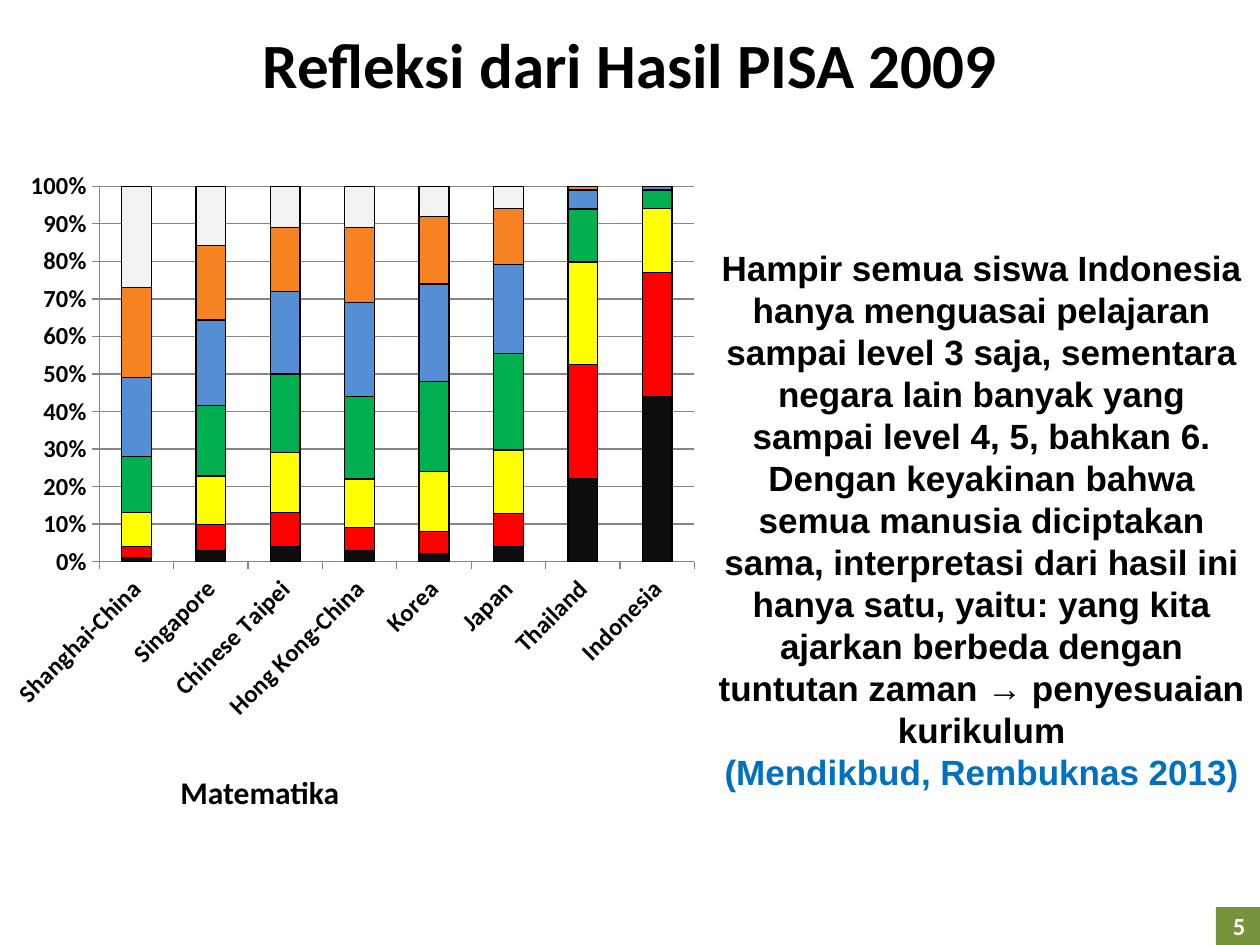
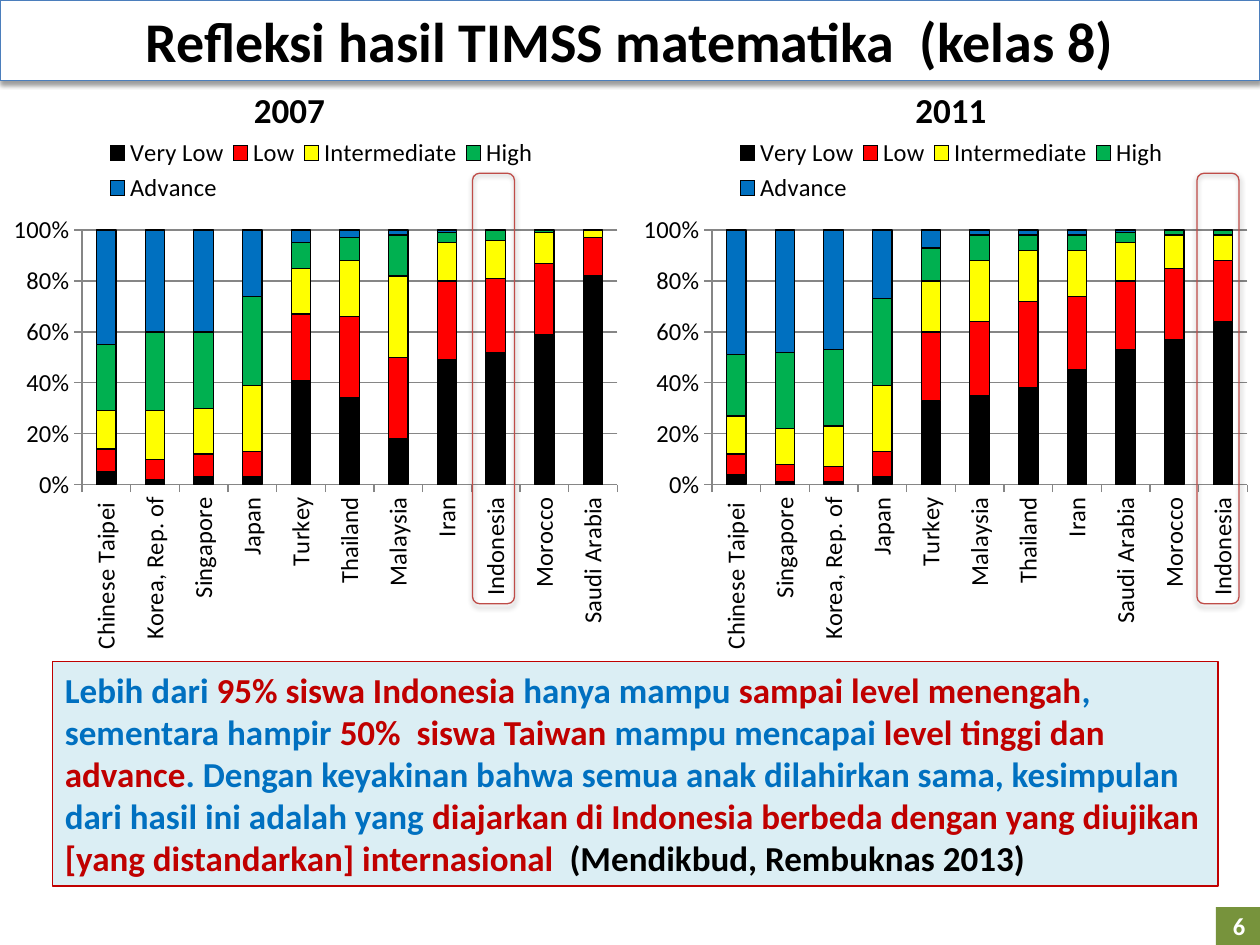
from lxml.etree import SubElement
from pptx import Presentation
from pptx.chart.data import CategoryChartData as ChartData
from pptx.dml.color import RGBColor
from pptx.enum.chart import XL_CHART_TYPE as ChartType, XL_LEGEND_POSITION as LegendPosition
from pptx.enum.chart import XL_TICK_MARK as TickMark
from pptx.enum.shapes import MSO_SHAPE as Shape
from pptx.enum.text import MSO_ANCHOR as Anchor, PP_ALIGN as Align
from pptx.oxml.ns import qn
from pptx.util import Inches, Pt

rgb = RGBColor.from_string
CELL = Inches(1) / 12
COLUMNS, ROWS = 120, 90
BLACK, WHITE, GRID_GREY = "000000", "FFFFFF", "868686"
RED, YELLOW, GREEN, BLUE = "FF0000", "FFFF00", "00B050", "0070C0"
DARK_RED, OUTLINE_RED, OUTLINE_BLUE = "C00000", "BF4C48", "4B7EBC"
FOOTER_GREEN, PALE_BLUE = "77933C", "DBEEF4"


def add_box(slide, cells, paragraphs=(), size=20, font="Calibri", align=Align.CENTER,
            fill=None, line=None, kind=Shape.RECTANGLE, shadow=False, margin=None, wrap=True):
    place = [round(value * CELL) for value in cells]
    if fill or line:
        shape = slide.shapes.add_shape(kind, *place)
        shape.shadow.inherit = False
        if fill:
            shape.fill.solid()
            shape.fill.fore_color.rgb = rgb(fill)
        else:
            shape.fill.background()
        if line:
            shape.line.color.rgb = rgb(line)
            shape.line.width = Pt(0.75)
        else:
            shape.line.fill.background()
    else:
        shape = slide.shapes.add_textbox(*place)
    if shadow:
        effects = shape._element.spPr.find(qn("a:effectLst"))
        outer = SubElement(effects, qn("a:outerShdw"), blurRad=str(Pt(3.1)), dist=str(Pt(1.6)),
                           dir="5400000", rotWithShape="0")
        color = SubElement(outer, qn("a:srgbClr"), val=BLACK)
        SubElement(color, qn("a:alpha"), val="38000")
    frame = shape.text_frame
    frame.word_wrap = wrap
    frame.vertical_anchor = Anchor.MIDDLE
    if margin is not None:
        frame.margin_left = frame.margin_right = frame.margin_top = frame.margin_bottom = margin
    for index, runs in enumerate(paragraphs):
        paragraph = frame.add_paragraph() if index else frame.paragraphs[0]
        paragraph.alignment = align
        paragraph.font.size = Pt(size)
        paragraph.font.name = font
        paragraph.font.bold = True
        for text, color in runs:
            run = paragraph.add_run()
            run.text = text
            run.font.color.rgb = rgb(color)
    return shape


def add_level_chart(slide, cells, categories, levels, colors, bold, rotation, step,
                    plot_area, legend_area=None):
    data = ChartData()
    data.categories = categories
    for name, values in levels:
        data.add_series(name, values)
    place = [round(value * CELL) for value in cells]
    chart = slide.shapes.add_chart(ChartType.COLUMN_STACKED_100, *place, data).chart
    chart.has_title = False
    chart.font.size = Pt(14)
    chart.font.name = "Calibri"
    chart.font.bold = bold
    chart.font.color.rgb = rgb(BLACK)
    plot = chart.plots[0]
    plot.overlap = 100
    plot.gap_width = 150
    plot.vary_by_categories = False
    for series, color in zip(plot.series, colors):
        series.format.fill.solid()
        series.format.fill.fore_color.rgb = rgb(color)
        series.format.line.color.rgb = rgb(BLACK)
        series.format.line.width = Pt(0.75)
    value_axis, category_axis = chart.value_axis, chart.category_axis
    value_axis.has_major_gridlines = True
    value_axis.major_unit = step
    value_axis.tick_labels.number_format = "0%"
    value_axis.tick_labels.number_format_is_linked = False
    for axis in (value_axis, category_axis):
        axis.major_tick_mark = TickMark.OUTSIDE
        axis.minor_tick_mark = TickMark.NONE
        axis.format.line.color.rgb = rgb(GRID_GREY)
        axis.tick_labels.font.size = Pt(14)
        axis.tick_labels.font.bold = bold
    value_axis.major_gridlines.format.line.color.rgb = rgb(GRID_GREY)
    label_body = category_axis._element.find(qn("c:txPr")).find(qn("a:bodyPr"))
    label_body.set("rot", str(rotation * 60000))
    label_body.set("vert", "horz")

    areas = [(chart._chartSpace.chart.plotArea, 0, plot_area)]
    chart.has_legend = legend_area is not None
    if legend_area:
        chart.legend.position = LegendPosition.TOP
        chart.legend.include_in_layout = False
        areas.append((chart.legend._element, 1, legend_area))
    for element, index, shares in areas:
        for old_layout in element.findall(qn("c:layout")):
            element.remove(old_layout)
        layout = SubElement(element, qn("c:layout"))
        element.insert(index, layout)
        manual = SubElement(layout, qn("c:manualLayout"))
        if index == 0:
            SubElement(manual, qn("c:layoutTarget"), val="inner")
        for tag in ("xMode", "yMode"):
            SubElement(manual, qn(f"c:{tag}"), val="edge")
        for tag, share in zip("xywh", shares):
            SubElement(manual, qn(f"c:{tag}"), val=str(share))


presentation = Presentation()
presentation.slide_width = round(COLUMNS * CELL)
presentation.slide_height = round(ROWS * CELL)
blank = presentation.slide_layouts[6]

pisa = presentation.slides.add_slide(blank)
pisa_countries = ["Shanghai-China", "Singapore", "Chinese Taipei", "Hong Kong-China",
                  "Korea", "Japan", "Thailand", "Indonesia"]
pisa_values = [
    (1, 3, 4, 3, 2, 4, 22, 44),
    (3, 7, 9, 6, 6, 9, 30, 33),
    (9, 13, 16, 13, 16, 17, 27, 17),
    (15, 19, 21, 22, 24, 26, 14, 5),
    (21, 23, 22, 25, 26, 24, 5, 1),
    (24, 20, 17, 20, 18, 15, 1, 0),
    (27, 16, 11, 11, 8, 6, 0, 0),
]
pisa_levels = [(f"Series {number}", values) for number, values in enumerate(pisa_values, 1)]
pisa_colors = ["0D0D0D", RED, YELLOW, GREEN, "558ED5", "F68222", "F2F2F2"]
add_level_chart(pisa, (0, 15, 67.5, 55), pisa_countries, pisa_levels, pisa_colors,
                True, -45, 0.1, (0.14, 0.05, 0.84, 0.65))
add_box(pisa, (0, 1, COLUMNS, 10), [[("Refleksi dari Hasil PISA 2009", BLACK)]], 36)
add_box(pisa, (67, 18, 53, 63), [
    [("Hampir semua siswa Indonesia hanya menguasai pelajaran sampai level 3 saja, sementara "
      "negara lain banyak yang sampai level 4, 5, bahkan 6. Dengan keyakinan bahwa semua "
      "manusia diciptakan sama, interpretasi dari hasil ini hanya satu, yaitu: yang kita "
      "ajarkan berbeda dengan tuntutan zaman → penyesuaian kurikulum", BLACK)],
    [("(Mendikbud, Rembuknas 2013)", BLUE)],
], font="Arial", fill=WHITE)
add_box(pisa, (16, 73, 17.6, 4.8), [[("Matematika", BLACK)]], 18, align=Align.LEFT, wrap=False)

timss = presentation.slides.add_slide(blank)
level_names = ["Very Low", "Low", "Intermediate", "High", "Advance"]
level_colors = [BLACK, RED, YELLOW, GREEN, BLUE]
timss_years = [
    ("2007", 0, 23, 45,
     ["Chinese Taipei ", "Korea, Rep. of", "Singapore", "Japan", "Turkey", "Thailand",
      "Malaysia", "Iran", "Indonesia", "Morocco", "Saudi Arabia"],
     [(5, 2, 3, 3, 41, 34, 18, 49, 52, 59, 82),
      (9, 8, 9, 10, 26, 32, 32, 31, 29, 28, 15),
      (15, 19, 18, 26, 18, 22, 32, 15, 15, 12, 3),
      (26, 31, 30, 35, 10, 9, 16, 4, 4, 1, 0),
      (45, 40, 40, 26, 5, 3, 2, 1, 0, 0, 0)]),
    ("2011", COLUMNS / 2, 86, 114,
     ["Chinese Taipei ", "Singapore", "Korea, Rep. of", "Japan", "Turkey", "Malaysia",
      "Thailand", "Iran", "Saudi Arabia", "Morocco", "Indonesia"],
     [(4, 1, 1, 3, 33, 35, 38, 45, 53, 57, 64),
      (8, 7, 6, 10, 27, 29, 34, 29, 27, 28, 24),
      (15, 14, 16, 26, 20, 24, 20, 18, 15, 13, 10),
      (24, 30, 30, 34, 13, 10, 6, 6, 4, 2, 2),
      (49, 48, 47, 27, 7, 2, 2, 2, 1, 0, 0)]),
]
for year, chart_column, year_column, marker_column, countries, values in timss_years:
    add_level_chart(timss, (chart_column, 11.6, COLUMNS / 2, 51.6), countries,
                    list(zip(level_names, values)), level_colors, False, -90, 0.2,
                    (0.13, 0.2, 0.85, 0.47), (0.16, 0.02, 0.7, 0.14))
    add_box(timss, (marker_column, 16.5, 4, 41), line=OUTLINE_RED,
            kind=Shape.ROUNDED_RECTANGLE, shadow=True)
    add_box(timss, (year_column, 7.8, 9.2, 5.3), [[(year, BLACK)]], align=Align.LEFT, wrap=False)
add_box(timss, (0, 0, COLUMNS, 7.7), [[("Refleksi hasil TIMSS matematika  (kelas 8)", BLACK)]],
        32, fill=WHITE, line=OUTLINE_BLUE, shadow=True)
add_box(timss, (5, 63, 111, 21.4), [[
    ("Lebih dari ", BLUE),
    ("95% siswa Indonesia ", DARK_RED),
    ("hanya mampu ", BLUE),
    ("sampai level menengah", DARK_RED),
    (", sementara hampir ", BLUE),
    ("50%  siswa Taiwan", DARK_RED),
    (" mampu mencapai ", BLUE),
    ("level tinggi dan advance", DARK_RED),
    (". Dengan keyakinan bahwa semua anak dilahirkan sama, kesimpulan dari hasil ini "
     "adalah yang ", BLUE),
    ("diajarkan di Indonesia berbeda dengan yang diujikan [yang distandarkan] "
     "internasional ", DARK_RED),
    (" (Mendikbud, Rembuknas 2013)", BLACK),
]], align=Align.LEFT, fill=PALE_BLUE, line=DARK_RED)

for number, slide in enumerate(presentation.slides, 5):
    add_box(slide, (115.8, 86.4, 4.4, 3.6), [[(str(number), WHITE)]], 14,
            fill=FOOTER_GREEN, margin=0)

presentation.save("out.pptx")
